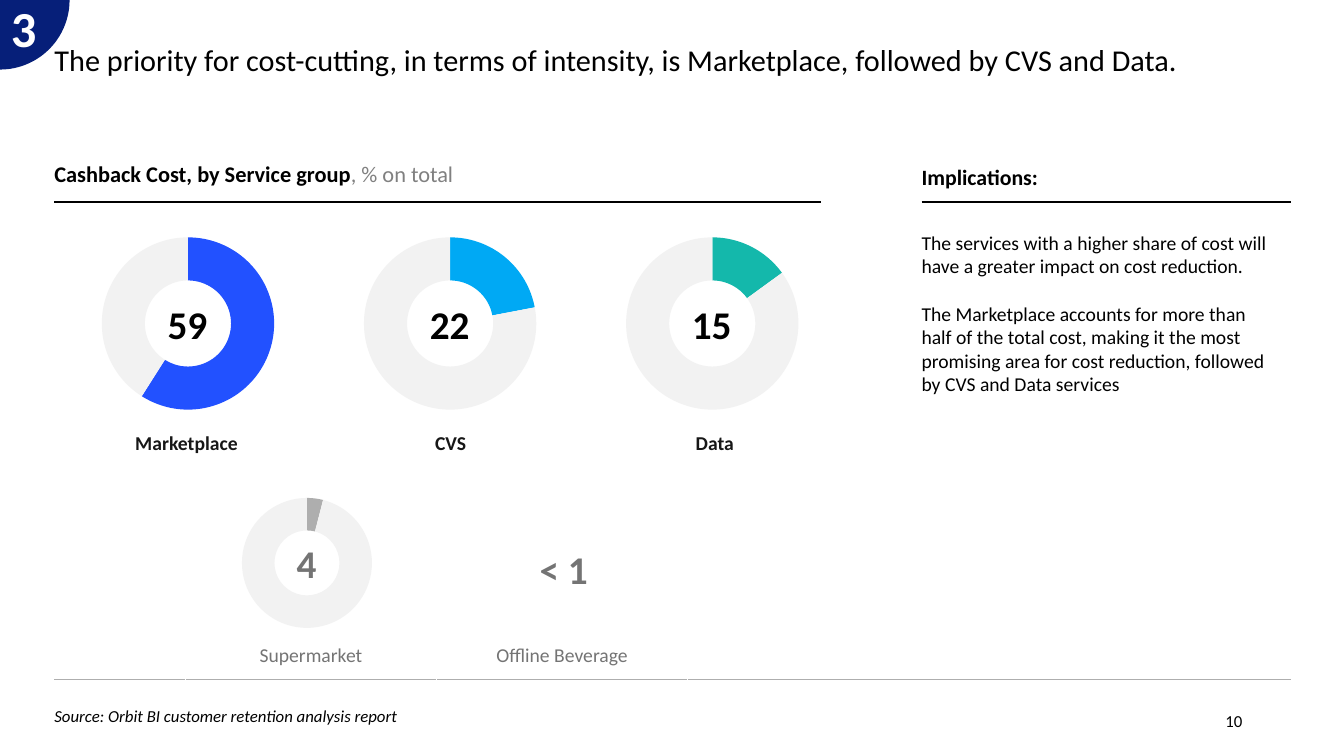
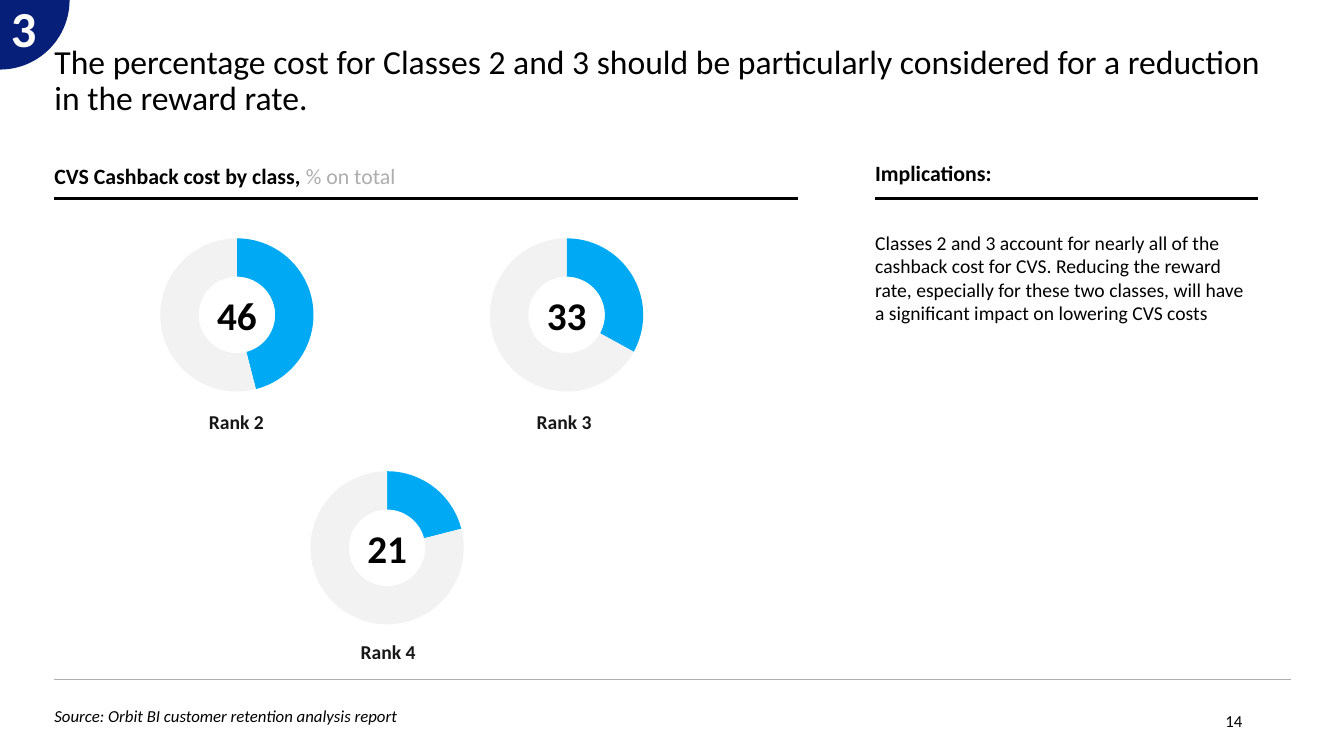
from math import cos, pi, sin

from lxml.etree import SubElement
from pptx import Presentation
from pptx.chart.data import CategoryChartData
from pptx.dml.color import RGBColor
from pptx.enum.chart import XL_CHART_TYPE
from pptx.enum.shapes import MSO_CONNECTOR
from pptx.enum.text import MSO_ANCHOR, PP_ALIGN
from pptx.oxml.ns import qn
from pptx.util import Pt

PX = 9144
FONT = "Calibri"
BLACK = RGBColor(0x00, 0x00, 0x00)
WHITE = RGBColor(0xFF, 0xFF, 0xFF)
INK = RGBColor(0x17, 0x17, 0x17)
SLATE = RGBColor(0x74, 0x74, 0x74)
GREY = RGBColor(0x80, 0x80, 0x80)
SILVER = RGBColor(0xAE, 0xAE, 0xAE)
PALE = RGBColor(0xF2, 0xF2, 0xF2)
NAVY = RGBColor(0x06, 0x1F, 0x79)
BLUE = RGBColor(0x22, 0x51, 0xFF)
SKY = RGBColor(0x00, 0xA9, 0xF4)
TEAL = RGBColor(0x14, 0xB8, 0xAB)

LEFT, RIGHT = 54, 1280
HOLE = 67


def emu(*sizes):
    return [round(size * PX) for size in sizes]


def add_run(para, words, size, color=BLACK, bold=False, italic=False):
    run = para.add_run()
    run.text = words
    font = run.font
    font.name, font.size, font.bold, font.italic = FONT, Pt(size), bold, italic
    font.color.rgb = color


def add_text(slide, box, paras, align=PP_ALIGN.LEFT, middle=False,
             flush=True, pitch=None, gap=0):
    """Place paragraphs, each a list of runs; flush drops the left inset."""
    frame = slide.shapes.add_textbox(*emu(*box)).text_frame
    frame.word_wrap = True
    frame.vertical_anchor = MSO_ANCHOR.MIDDLE if middle else MSO_ANCHOR.TOP
    if flush:
        frame.margin_left = 0
    for i, runs in enumerate(paras):
        para = frame.add_paragraph() if i else frame.paragraphs[0]
        para.alignment = align
        if pitch:
            para.line_spacing = pitch
        if i and gap:
            para.space_before = Pt(gap)
        for run in runs:
            add_run(para, *run)


def add_rule(slide, left, right, y, color=BLACK, width=1.5):
    line = slide.shapes.add_connector(
        MSO_CONNECTOR.STRAIGHT, *emu(left, y, right, y))
    line.line.color.rgb = color
    line.line.width = Pt(width)
    SubElement(line._element.spPr, qn("a:effectLst"))


def add_badge(slide, digit, radius=69, steps=32):
    """Fill a quarter disc in the top left corner and number it."""
    arc = [emu(radius * cos(pi / 2 * i / steps), radius * sin(pi / 2 * i / steps))
           for i in range(steps + 1)]
    build = slide.shapes.build_freeform(0, 0)
    build.add_line_segments(arc, close=True)
    disc = build.convert_to_shape()
    disc.shadow.inherit = False
    disc.fill.solid()
    disc.fill.fore_color.rgb = NAVY
    disc.line.fill.background()
    add_text(slide, (1, 0, 55, 55), [[(digit, 36, WHITE, True)]],
             middle=True, flush=False)


def add_frame(deck, title, size, page):
    """Start a slide with the title, badge, source line and page number."""
    slide = deck.slides.add_slide(deck.slide_layouts[6])
    add_rule(slide, LEFT, RIGHT, 674, SILVER, 0.75)
    source = "Source: Orbit BI customer retention analysis report"
    add_text(slide, (LEFT, 694, 506, 32),
             [[(source, 12, BLACK, False, True)]], middle=True)
    add_text(slide, (LEFT, 40, RIGHT - LEFT, 68), [[(title, size)]], pitch=0.9)
    add_text(slide, (942, 695, 300, 40), [[(page, 12)]],
             PP_ALIGN.RIGHT, middle=True, flush=False)
    add_badge(slide, "3")
    return slide


def add_head(slide, box, runs, rule, pitch=None):
    x, y, width, height = box
    add_text(slide, box, [runs], pitch=pitch)
    add_rule(slide, x, x + width, rule)


def add_notes(slide, box, top, rule, paras):
    """Place the implications column: heading, rule and body."""
    x, y, width, height = box
    add_head(slide, (x, top, width, 33),
             [("Implications:", 15.6, BLACK, True)], rule, 0.8)
    add_text(slide, box, [[(words, 14)] for words in paras], gap=17)


def add_mark(slide, box, words, color=BLACK):
    add_text(slide, box, [[(words, 28, color, True)]],
             PP_ALIGN.CENTER, middle=True, flush=False)


def set_plot(chart, wide, high):
    """Centre the ring in the chart, sized as shares of its box."""
    area = chart._chartSpace.chart.plotArea
    for old in area.findall(qn("c:layout")):
        area.remove(old)
    layout = SubElement(area, qn("c:layout"))
    area.insert(0, layout)
    manual = SubElement(layout, qn("c:manualLayout"))
    for tag, val in (("layoutTarget", "inner"), ("xMode", "edge"),
                     ("yMode", "edge"), ("x", (1 - wide) / 2),
                     ("y", (1 - high) / 2), ("w", wide), ("h", high)):
        if not isinstance(val, str):
            val = f"{val:.4f}"
        SubElement(manual, qn("c:" + tag)).set("val", val)
    area.find(".//" + qn("c:holeSize")).set("val", str(HOLE))


def add_dial(slide, box, ring, value, fill, color=BLACK):
    """Draw a ring chart of the given diameter, with its value inside."""
    x, y, width, height = box
    data = CategoryChartData()
    data.categories = ["1", "2"]
    data.add_series("Series 1", (value, 100 - value))
    chart = slide.shapes.add_chart(
        XL_CHART_TYPE.DOUGHNUT, *emu(*box), data).chart
    chart.has_legend = chart.has_title = False
    chart.font.name, chart.font.size = "Karla", Pt(10)
    chart.font.color.rgb = BLACK
    plot = chart.plots[0]
    plot.vary_by_categories = True
    for i, tone in enumerate((fill, PALE)):
        style = plot.series[0].points[i].format
        style.fill.solid()
        style.fill.fore_color.rgb = tone
        style.line.fill.background()
    set_plot(chart, ring / width, ring / height)
    add_mark(slide, (x + width // 2 - 50, y + height // 2 - 21, 100, 42),
             str(value), color)


def add_names(slide, box, names, color=INK, bold=True):
    """Label the dials with a one-row table of equal columns."""
    table = slide.shapes.add_table(1, len(names), *emu(*box)).table
    table.first_row = table.horz_banding = False
    for cell, name in zip(table.rows[0].cells, names):
        cell.fill.background()
        para = cell.text_frame.paragraphs[0]
        para.alignment = PP_ALIGN.CENTER
        add_run(para, name, 14, color, bold)


def add_groups(deck):
    slide = add_frame(
        deck, "The priority for cost-cutting, in terms of intensity, is "
        "Marketplace, followed by CVS and Data.", 21.6, "10")
    add_head(slide, (LEFT, 154, 760, 41),
             [("Cashback Cost, by Service group", 16, BLACK, True),
              (", % on total", 16, GREY)], 200)
    add_notes(slide, (914, 224, 366, 164), 163, 200, [
        "The services with a higher share of cost will have a greater impact "
        "on cost reduction.",
        "The Marketplace accounts for more than half of the total cost, making "
        "it the most promising area for cost reduction, followed by CVS and "
        "Data services"])
    for i, (value, fill) in enumerate(((59, BLUE), (22, SKY), (15, TEAL))):
        add_dial(slide, (64 + 260 * i, 222, 245, 198), 171, value, fill)
    add_names(slide, (LEFT, 423, 786, 33), ["Marketplace", "CVS", "Data"])
    add_dial(slide, (201, 480, 207, 157), 129, 4, SILVER, SLATE)
    add_mark(slide, (510, 544, 98, 40), "< 1", SLATE)
    add_names(slide, (184, 634, 498, 41),
              ["Supermarket", "Offline Beverage"], SLATE, False)


def add_ranks(deck):
    slide = add_frame(
        deck, "The percentage cost for Classes 2 and 3 should be particularly "
        "considered for a reduction in the reward rate.", 24, "14")
    add_head(slide, (LEFT, 159, 737, 37),
             [("CVS Cashback cost by class, ", 15.6, BLACK, True),
              ("% on total", 15.6, SILVER)], 197, 0.9)
    add_notes(slide, (868, 224, 380, 151), 159, 197, [
        "Classes 2 and 3 account for nearly all of the cashback cost for CVS. "
        "Reducing the reward rate, especially for these two classes, will have "
        "a significant impact on lowering CVS costs"])
    for x, y, value in ((122, 223, 46), (449, 223, 33), (271, 454, 21)):
        add_dial(slide, (x, y, 226, 179), 152, value, SKY)
    add_names(slide, (72, 403, 650, 33), ["Rank 2", "Rank 3"])
    add_names(slide, (264, 631, 242, 33), ["Rank 4"])


def main():
    deck = Presentation()
    deck.slide_width, deck.slide_height = emu(1333, 750)
    add_groups(deck)
    add_ranks(deck)
    deck.save("out.pptx")


if __name__ == "__main__":
    main()
